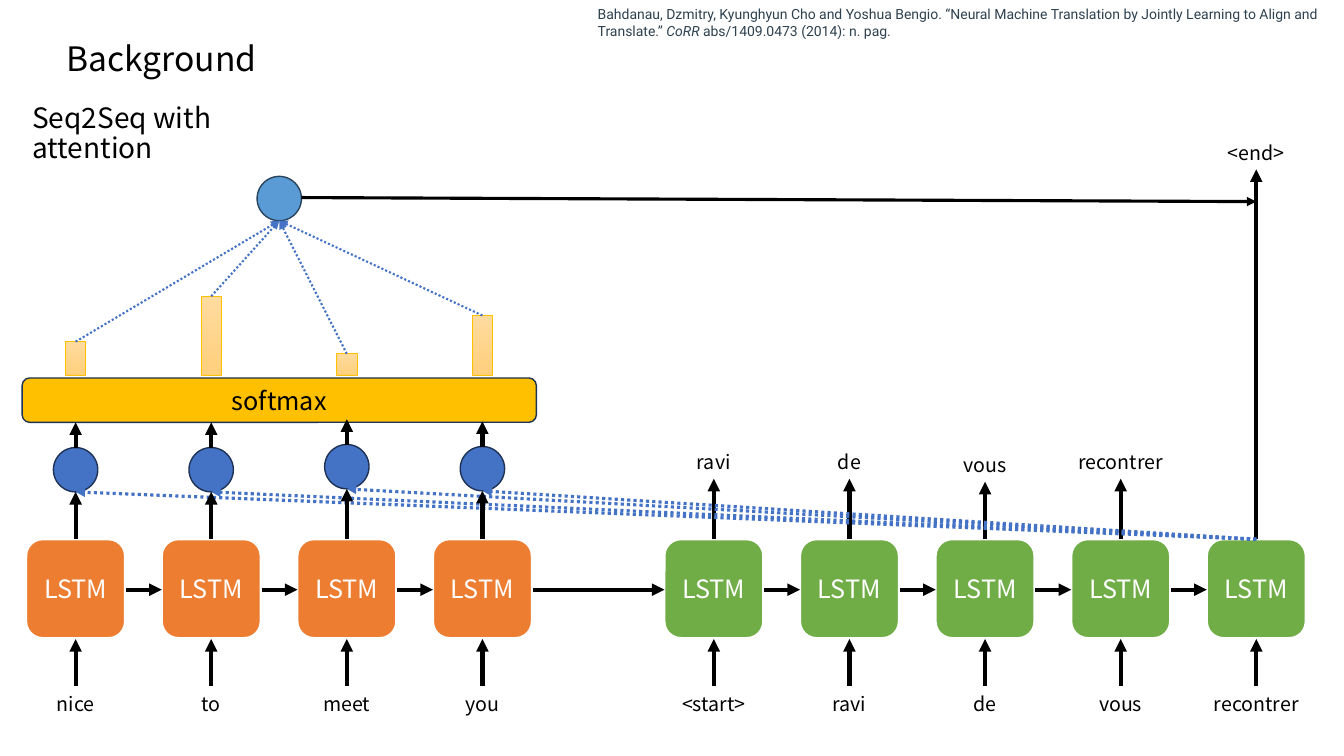
from pptx import Presentation
from pptx.dml.color import RGBColor
from pptx.enum.dml import MSO_LINE
from pptx.enum.shapes import MSO_CONNECTOR, MSO_SHAPE
from pptx.enum.text import MSO_ANCHOR, MSO_AUTO_SIZE, PP_ALIGN
from pptx.oxml.ns import qn
from pptx.util import Inches, Pt
from lxml.etree import SubElement

TITLE = "Background"
SUBTITLE = "Seq2Seq with attention"
CITATION = [
    ("Bahdanau, Dzmitry, Kyunghyun Cho and Yoshua Bengio. “Neural Machine Translation "
     "by Jointly Learning to Align and Translate.” ", False),
    ("CoRR", True),
    (" abs/1409.0473 (2014): n. pag.", False),
]
ENCODER = [
    {"word": "nice", "score_top": 4.44, "weight": 0.33},
    {"word": "to", "score_top": 4.44, "weight": 0.78},
    {"word": "meet", "score_top": 4.41, "weight": 0.21},
    {"word": "you", "score_top": 4.43, "weight": 0.59},
]
DECODER = [
    ("<start>", "ravi", 4.41),
    ("ravi", "de", 4.41),
    ("de", "vous", 4.44),
    ("vous", "recontrer", 4.41),
    ("recontrer", "<end>", 1.34),
]
COLORS = {
    "black": "000000", "white": "FFFFFF", "encoder": "ED7D31", "decoder": "70AD47",
    "score": "4472C4", "score_line": "1E3256", "softmax": "FFC000",
    "context": "5B9BD5", "context_line": "28445D",
    "bar_top": "FFDB9E", "bar_bottom": "FFD07C", "citation": "2E414F",
}
FONT = "Noto Sans CJK KR"
STEP = 1.345
ENCODER_X, DECODER_X = 0.75, 7.08
CELL, CELL_TOP = 0.98, 5.35
CELL_MIDDLE = CELL_TOP + CELL / 2 + 0.01
CELL_BOTTOM = CELL_TOP + CELL
LABEL_WIDTH, LABEL_HEIGHT, INPUT_TOP = 1.07, 0.34, 6.81
CIRCLE = 0.44
BAR_WIDTH, BAR_BOTTOM = 0.2, 3.72
CONTEXT_X, CONTEXT_TOP = 2.77, 1.75

presentation = Presentation()
presentation.slide_width = Inches(13.33)
presentation.slide_height = Inches(7.5)
slide = presentation.slides.add_slide(presentation.slide_layouts[1])


def color(name):
    return RGBColor.from_string(COLORS[name])


def write(shape, text, size=14, ink="black", font=FONT, align=PP_ALIGN.CENTER,
          anchor=MSO_ANCHOR.MIDDLE, spacing=None, side_margin=0.1):
    frame = shape.text_frame
    frame.word_wrap = True
    frame.auto_size = MSO_AUTO_SIZE.NONE
    frame.vertical_anchor = anchor
    frame.margin_left = frame.margin_right = Inches(side_margin)
    paragraph = frame.paragraphs[0]
    paragraph.alignment = align
    if spacing:
        paragraph.line_spacing = spacing
        paragraph.space_before = Pt(0)
    runs = [(text, False)] if isinstance(text, str) else text
    for words, italic in runs:
        run = paragraph.add_run()
        run.text = words
        run.font.name = font
        run.font.size = Pt(size)
        run.font.italic = italic
        run.font.color.rgb = color(ink)
    return paragraph


def place(shape, left, top, width, height):
    shape.left, shape.top = Inches(left), Inches(top)
    shape.width, shape.height = Inches(width), Inches(height)


def add_label(text, x, top):
    box = slide.shapes.add_textbox(Inches(x - LABEL_WIDTH / 2), Inches(top),
                                   Inches(LABEL_WIDTH), Inches(LABEL_HEIGHT))
    write(box, text, side_margin=0)


def add_block(kind, x, top, width, height, fill, line, weight=1.0):
    shape = slide.shapes.add_shape(kind, Inches(x - width / 2), Inches(top),
                                   Inches(width), Inches(height))
    shape.shadow.inherit = False
    shape.fill.solid()
    shape.fill.fore_color.rgb = color(fill)
    shape.line.color.rgb = color(line)
    shape.line.width = Pt(weight)
    return shape


def add_cell(x, fill):
    cell = add_block(MSO_SHAPE.ROUNDED_RECTANGLE, x, CELL_TOP, CELL, CELL, fill, "white", 1.5)
    write(cell, "LSTM", size=18, ink="white")


def add_bar(x, height):
    bar = add_block(MSO_SHAPE.RECTANGLE, x, BAR_BOTTOM - height, BAR_WIDTH, height,
                    "bar_top", "softmax", 0.5)
    bar.fill.gradient()
    bar.fill.gradient_angle = 270
    for stop, name in zip(bar.fill.gradient_stops, ("bar_top", "bar_bottom")):
        stop.color.rgb = color(name)


def add_arrow(start, end, ink="black", weight=3.0, dotted=False):
    arrow = slide.shapes.add_connector(MSO_CONNECTOR.STRAIGHT, *map(Inches, start + end))
    arrow.line.color.rgb = color(ink)
    arrow.line.width = Pt(weight)
    if dotted:
        arrow.line.dash_style = MSO_LINE.ROUND_DOT
    SubElement(arrow.line._get_or_add_ln(), qn("a:tailEnd"), type="triangle")
    SubElement(arrow._element.spPr, qn("a:effectLst"))


title, subtitle = slide.placeholders
place(title, 0.56, 0.35, 3.92, 0.5)
write(title, TITLE, size=24, align=PP_ALIGN.LEFT, spacing=0.9)
place(subtitle, 0.22, 0.98, 3.22, 0.44)
paragraph = write(subtitle, SUBTITLE, size=20, align=PP_ALIGN.LEFT,
                  anchor=MSO_ANCHOR.TOP, spacing=0.9)
properties = paragraph._p.get_or_add_pPr()
properties.set("marL", "0")
properties.set("indent", "0")
SubElement(properties, qn("a:buNone"))

encoder_xs = [ENCODER_X + STEP * index for index in range(len(ENCODER))]
decoder_xs = [DECODER_X + STEP * index for index in range(len(DECODER))]
cell_xs = encoder_xs + decoder_xs
last_x = decoder_xs[-1]

for x, fill in zip(cell_xs, ["encoder"] * len(ENCODER) + ["decoder"] * len(DECODER)):
    add_cell(x, fill)
    add_arrow((x, INPUT_TOP), (x, CELL_BOTTOM + 0.01))
for x, following in zip(cell_xs, cell_xs[1:]):
    add_arrow((x + CELL / 2 + 0.01, CELL_MIDDLE), (following - CELL / 2, CELL_MIDDLE))

for x, (word, output, output_top) in zip(decoder_xs, DECODER):
    add_label(word, x, INPUT_TOP)
    add_label(output, x, output_top)
    add_arrow((x, CELL_TOP), (x, output_top + LABEL_HEIGHT))

softmax = add_block(MSO_SHAPE.ROUNDED_RECTANGLE, 2.77, 3.75, 5.1, 0.44, "softmax", "score_line")
write(softmax, "softmax", size=18)
add_block(MSO_SHAPE.OVAL, CONTEXT_X, CONTEXT_TOP, CIRCLE, CIRCLE, "context", "context_line")

for x, step in zip(encoder_xs, ENCODER):
    score_top = step["score_top"]
    score_bottom = score_top + CIRCLE
    add_label(step["word"], x, INPUT_TOP)
    add_arrow((x, CELL_TOP), (x, score_bottom))
    add_block(MSO_SHAPE.OVAL, x, score_top, CIRCLE, CIRCLE, "score", "score_line")
    add_arrow((x, score_top), (x, score_top - 0.25))
    add_bar(x, step["weight"])
    add_arrow((x, BAR_BOTTOM - step["weight"]), (CONTEXT_X, CONTEXT_TOP + CIRCLE),
              ink="score", weight=1.5, dotted=True)
    add_arrow((last_x, CELL_TOP), (x, score_bottom), ink="score", weight=2.25, dotted=True)

add_arrow((CONTEXT_X + CIRCLE / 2, 1.96), (last_x, 2.0), weight=2.25)

citation = slide.shapes.add_textbox(Inches(5.83), Inches(0), Inches(7.48), Inches(0.44))
write(citation, CITATION, size=10, ink="citation", font="Roboto", align=PP_ALIGN.LEFT)

presentation.save("out.pptx")
